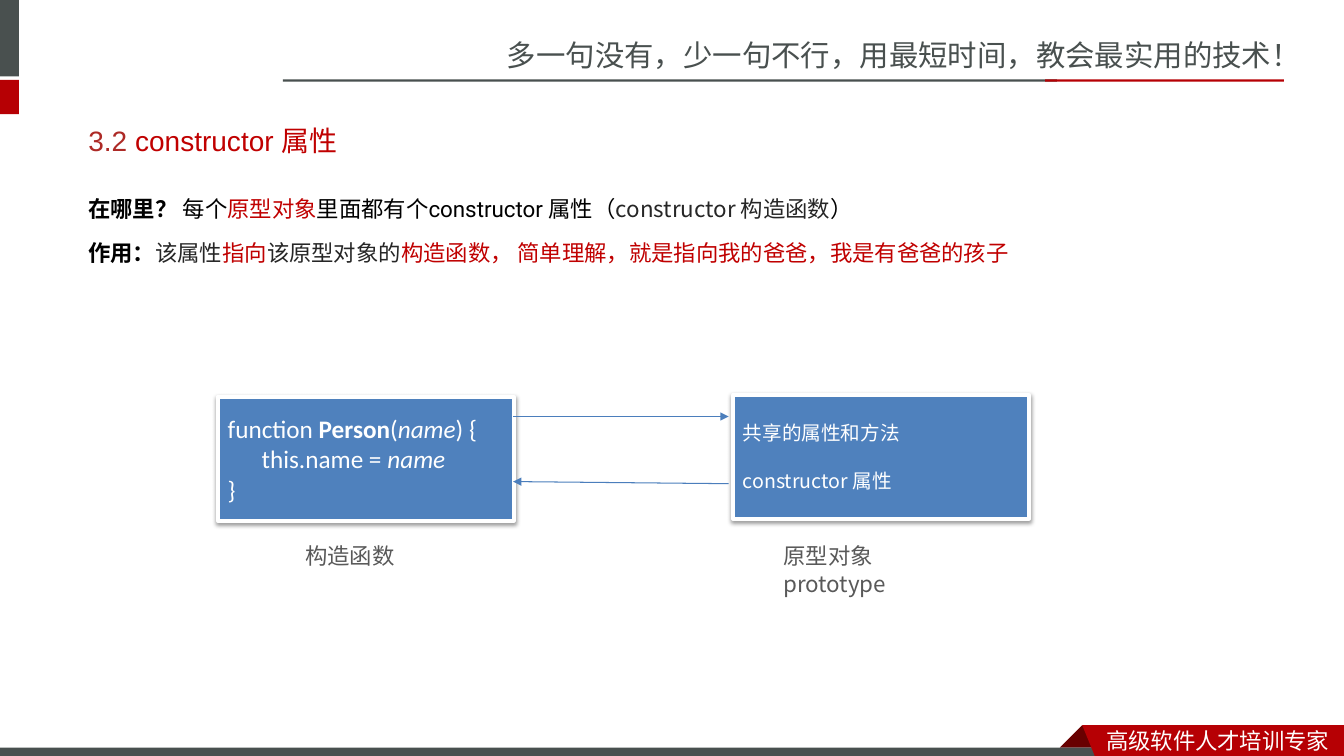
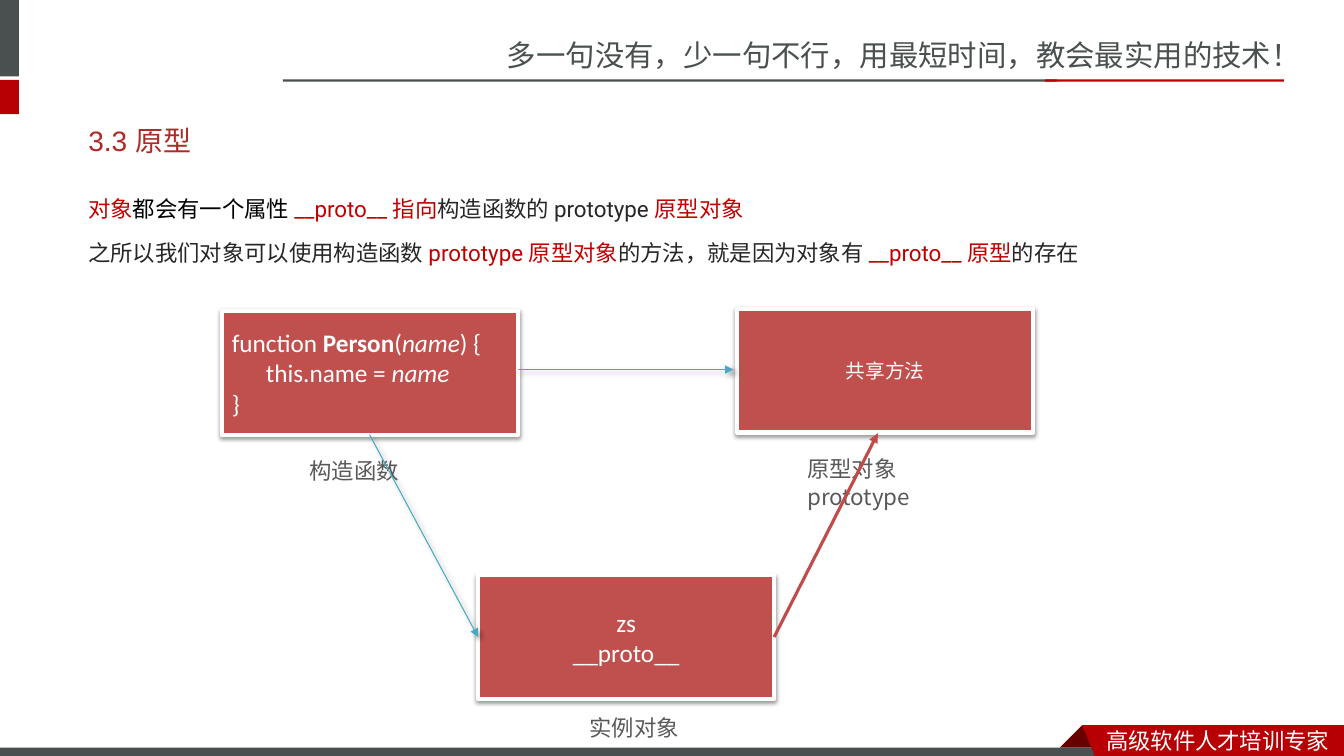
from dataclasses import dataclass

from lxml.etree import SubElement
from pptx import Presentation
from pptx.dml.color import RGBColor
from pptx.enum.shapes import MSO_CONNECTOR as Connector, MSO_SHAPE as Preset
from pptx.enum.text import MSO_ANCHOR as Anchor, PP_ALIGN as Align
from pptx.oxml.ns import qn
from pptx.util import Pt

GREY, RED, DARK_RED, WHITE = "49504F", "B60004", "680000", "FFFFFF"
TITLE_RED, KEY_RED, BLACK, INK, LABEL_GREY = "AD2A26", "C00000", "000000", "262626", "595959"
BLUE_BOX, RED_BOX = "4F81BD", "C0504D"
BLUE_LINE, TEAL_LINE, RED_LINE = "4B7EBC", "46AAC5", "BF4C48"
LATIN, CODE, HEADING = "Roboto", "Calibri", "Arial"
SANS_SC, SANS_JP = "Noto Sans CJK SC", "Noto Sans CJK JP"
BOX_WIDTH, BOX_HEIGHT = 211.5, 88.5


@dataclass
class Span:
    """A stretch of text in one style."""
    text: str
    color: str = WHITE
    font: str = LATIN
    bold: bool = False
    italic: bool = False


def code(text, **style):
    """Make a white span in the code font."""
    return Span(text, font=CODE, **style)


PERSON_FUNCTION = [
    [code("function "), code("Person", bold=True), code("("), code("name", italic=True), code(") {")],
    [code("      this.name = "), code("name", italic=True)],
    [code("}")],
]


def rgb(value):
    """Turn a hex string into a colour."""
    return RGBColor.from_string(value)


def add_shadow(element, blur, distance, angle, opacity):
    """Give a shape or connector a black outer shadow."""
    effects = SubElement(element.spPr, qn("a:effectLst"))
    outer = SubElement(effects, qn("a:outerShdw"), blurRad=str(Pt(blur)), dist=str(Pt(distance)),
                       dir=str(angle * 60000), rotWithShape="0")
    black = SubElement(outer, qn("a:srgbClr"), val=BLACK)
    SubElement(black, qn("a:alpha"), val=str(opacity * 1000))


def write(frame, paragraphs, size, leading=None, gap=0, align=Align.LEFT):
    """Fill a text frame with paragraphs of spans."""
    frame.word_wrap = True
    for index, spans in enumerate(paragraphs):
        paragraph = frame.paragraphs[0] if index == 0 else frame.add_paragraph()
        paragraph.alignment = align
        if leading:
            paragraph.line_spacing = Pt(leading)
        if index and gap:
            paragraph.space_before = Pt(gap)
        for span in spans:
            run = paragraph.add_run()
            run.text = span.text
            run.font.size = Pt(size)
            run.font.bold, run.font.italic = span.bold, span.italic
            run.font.color.rgb = rgb(span.color)
            run.font.name = span.font
            east_asian = span.font if "CJK" in span.font else SANS_SC
            SubElement(run.font._element, qn("a:ea"), typeface=east_asian)


def add_text(slide, left, top, width, height, paragraphs, size, leading, gap=0, anchor=Anchor.TOP):
    """Add a text box."""
    frame = slide.shapes.add_textbox(Pt(left), Pt(top), Pt(width), Pt(height)).text_frame
    frame.vertical_anchor = anchor
    write(frame, paragraphs, size, leading, gap)


def paint(shape, fill):
    """Give a shape a plain fill without outline or shadow."""
    shape.shadow.inherit = False
    shape.fill.solid()
    shape.fill.fore_color.rgb = rgb(fill)
    shape.line.fill.background()


def add_band(slide, left, top, width, height, fill):
    """Add a plain rectangle."""
    paint(slide.shapes.add_shape(Preset.RECTANGLE, Pt(left), Pt(top), Pt(width), Pt(height)), fill)


def add_outline(slide, points, fill):
    """Add a filled polygon."""
    builder = slide.shapes.build_freeform(*points[0], scale=Pt(1))
    builder.add_line_segments(points[1:], close=True)
    paint(builder.convert_to_shape(), fill)


def add_box(slide, left, top, fill, paragraphs, size, leading=None, gap=0, align=Align.LEFT):
    """Add a white-framed diagram box."""
    box = slide.shapes.add_shape(Preset.RECTANGLE, Pt(left), Pt(top), Pt(BOX_WIDTH), Pt(BOX_HEIGHT))
    box.fill.solid()
    box.fill.fore_color.rgb = rgb(fill)
    box.line.color.rgb = rgb(WHITE)
    box.line.width = Pt(3)
    add_shadow(box._element, 3.1, 1.6, 90, 38)
    box.text_frame.vertical_anchor = Anchor.MIDDLE
    write(box.text_frame, paragraphs, size, leading, gap, align)


def add_label(slide, left, top, text):
    """Add a caption under a diagram box."""
    add_text(slide, left, top, 104, 27, [[Span(text, LABEL_GREY, SANS_JP)]], 16, 20)


def add_arrow(slide, start, end, color, width=0.75, shadowed=False):
    """Add a straight arrow between two points."""
    arrow = slide.shapes.add_connector(Connector.STRAIGHT, *(Pt(value) for value in start + end))
    arrow.line.color.rgb = rgb(color)
    arrow.line.width = Pt(width)
    SubElement(arrow._element.spPr.find(qn("a:ln")), qn("a:tailEnd"), type="triangle")
    if shadowed:
        add_shadow(arrow._element, 4, 3, 45, 40)
    else:
        SubElement(arrow._element.spPr, qn("a:effectLst"))


def start_slide(deck, title, body):
    """Add a slide with the shared frame, its title and its body text."""
    slide = deck.slides.add_slide(deck.slide_layouts[6])
    slogan = Span("多一句没有，少一句不行，用最短时间，教会最实用的技术！", GREY, SANS_SC)
    add_text(slide, 355, 20, 605, 34, [[slogan]], 21, 28)
    add_band(slide, 0, 0, 13.5, 54.5, GREY)
    add_band(slide, 0, 57, 13.5, 24.5, RED)
    add_band(slide, 202, 56.7, 553, 1.6, GREY)
    add_band(slide, 746.5, 56.7, 170.5, 1.6, RED)
    add_outline(slide, [(773, 518), (789, 534), (757, 534)], DARK_RED)
    add_band(slide, 0, 534, 791, 6, GREY)
    add_outline(slide, [(773, 518), (960, 518), (960, 540), (782, 540)], RED)
    add_text(slide, 783, 515, 177, 25, [[Span("高级软件人才培训专家", WHITE, SANS_SC)]], 16, 20)
    add_text(slide, 56, 79, 846, 41, [title], 20, 25, anchor=Anchor.MIDDLE)
    add_text(slide, 56, 127, 875, 70, body, 16, 28, gap=3.2)
    return slide


def add_constructor_slide(deck):
    """Build the slide on the constructor property."""
    title = [Span("3.2 ", TITLE_RED, HEADING), Span("constructor 属性", KEY_RED, HEADING)]
    body = [
        [Span("在哪里？ ", BLACK, bold=True), Span("每个", BLACK), Span("原型对象", KEY_RED),
         Span("里面都有个constructor 属性（", BLACK), Span("constructor 构造函数", INK, SANS_JP),
         Span("）", BLACK)],
        [Span("作用：", BLACK, bold=True), Span("该属性", INK), Span("指向", KEY_RED),
         Span("该原型对象的", INK),
         Span("构造函数， 简单理解，就是指向我的爸爸，我是有爸爸的孩子", KEY_RED)],
    ]
    slide = start_slide(deck, title, body)
    shared = [[Span("共享的属性和方法", font=SANS_JP)], [Span("constructor 属性", font=SANS_JP)]]
    add_box(slide, 155.5, 283.5, BLUE_BOX, PERSON_FUNCTION, 18)
    add_box(slide, 523.5, 282, BLUE_BOX, shared, 14, leading=17, gap=17)
    add_label(slide, 211, 383, "构造函数")
    add_label(slide, 552.5, 383, "原型对象 prototype")
    add_arrow(slide, (366.5, 297.5), (520.5, 297.5), BLUE_LINE)
    add_arrow(slide, (520.5, 345.5), (366.5, 344), BLUE_LINE)


def add_prototype_slide(deck):
    """Build the slide on the prototype link."""
    title = [Span("3.3 原型", TITLE_RED, HEADING)]
    body = [
        [Span("对象", KEY_RED), Span("都会有一个属性 ", BLACK), Span("__proto__ 指向", KEY_RED),
         Span("构造函数的 prototype ", INK), Span("原型对象", KEY_RED)],
        [Span("之所以我们对象可以使用构造函数 ", INK), Span("prototype 原型对象", KEY_RED),
         Span("的方法，就是因为对象有 ", INK), Span("__proto__ 原型", KEY_RED), Span("的存在", INK)],
    ]
    slide = start_slide(deck, title, body)
    add_box(slide, 158.5, 222, RED_BOX, PERSON_FUNCTION, 18)
    add_box(slide, 526.5, 220.5, RED_BOX, [[Span("共享方法", font=SANS_JP)]], 14, leading=17,
            align=Align.CENTER)
    add_box(slide, 341.5, 411, RED_BOX, [[code("zs")], [code("__proto__")]], 18, align=Align.CENTER)
    add_label(slide, 214, 322, "构造函数")
    add_label(slide, 569.5, 320.5, "原型对象 prototype")
    add_label(slide, 414, 506, "实例对象")
    add_arrow(slide, (370, 264), (524, 264), TEAL_LINE, shadowed=True)
    add_arrow(slide, (264, 310.5), (341.5, 455), TEAL_LINE, shadowed=True)
    add_arrow(slide, (553, 455), (627, 309.5), RED_LINE, width=2.25)


def main():
    """Build and save the deck."""
    deck = Presentation()
    deck.slide_width, deck.slide_height = Pt(960), Pt(540)
    add_constructor_slide(deck)
    add_prototype_slide(deck)
    deck.save("out.pptx")


if __name__ == "__main__":
    main()
